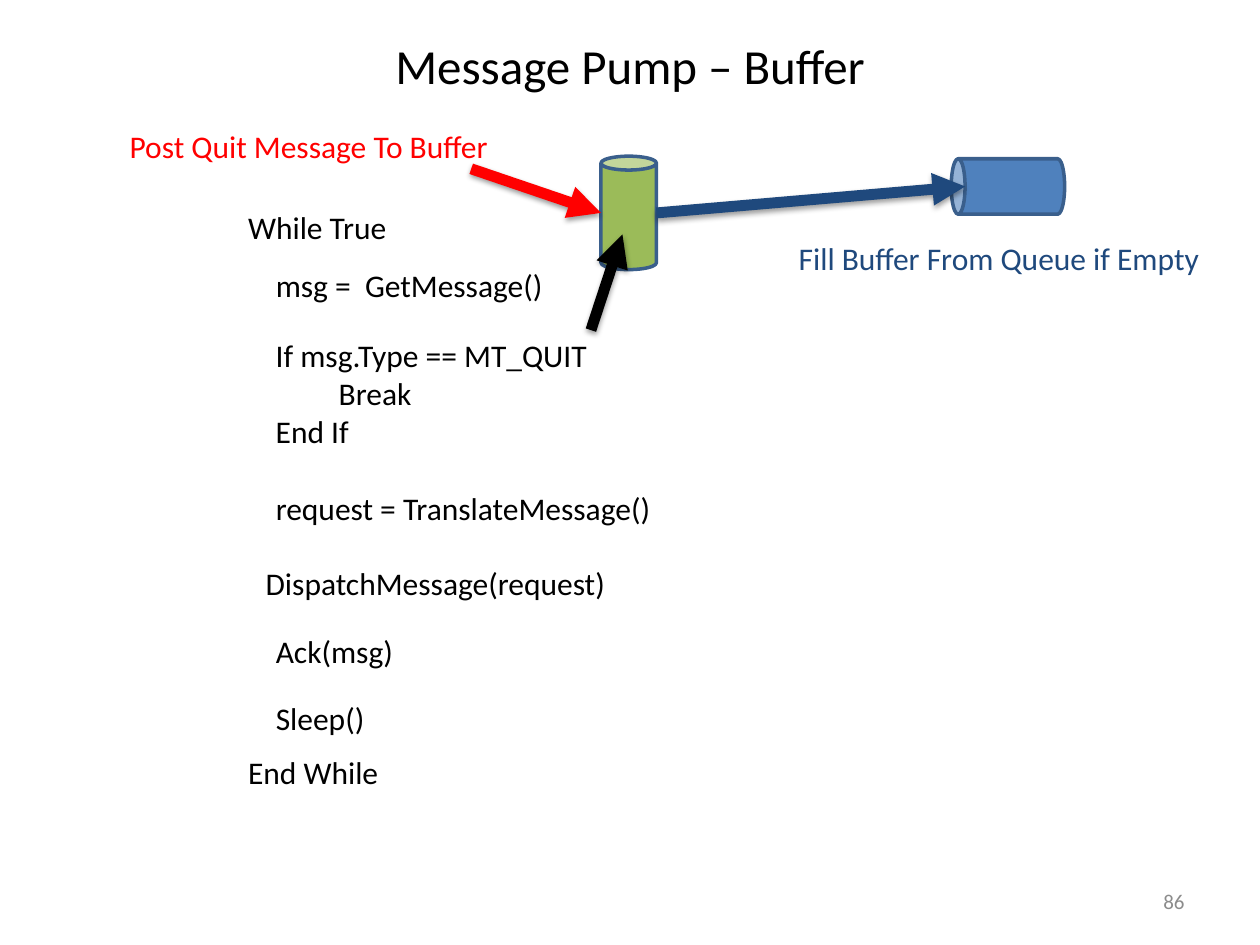
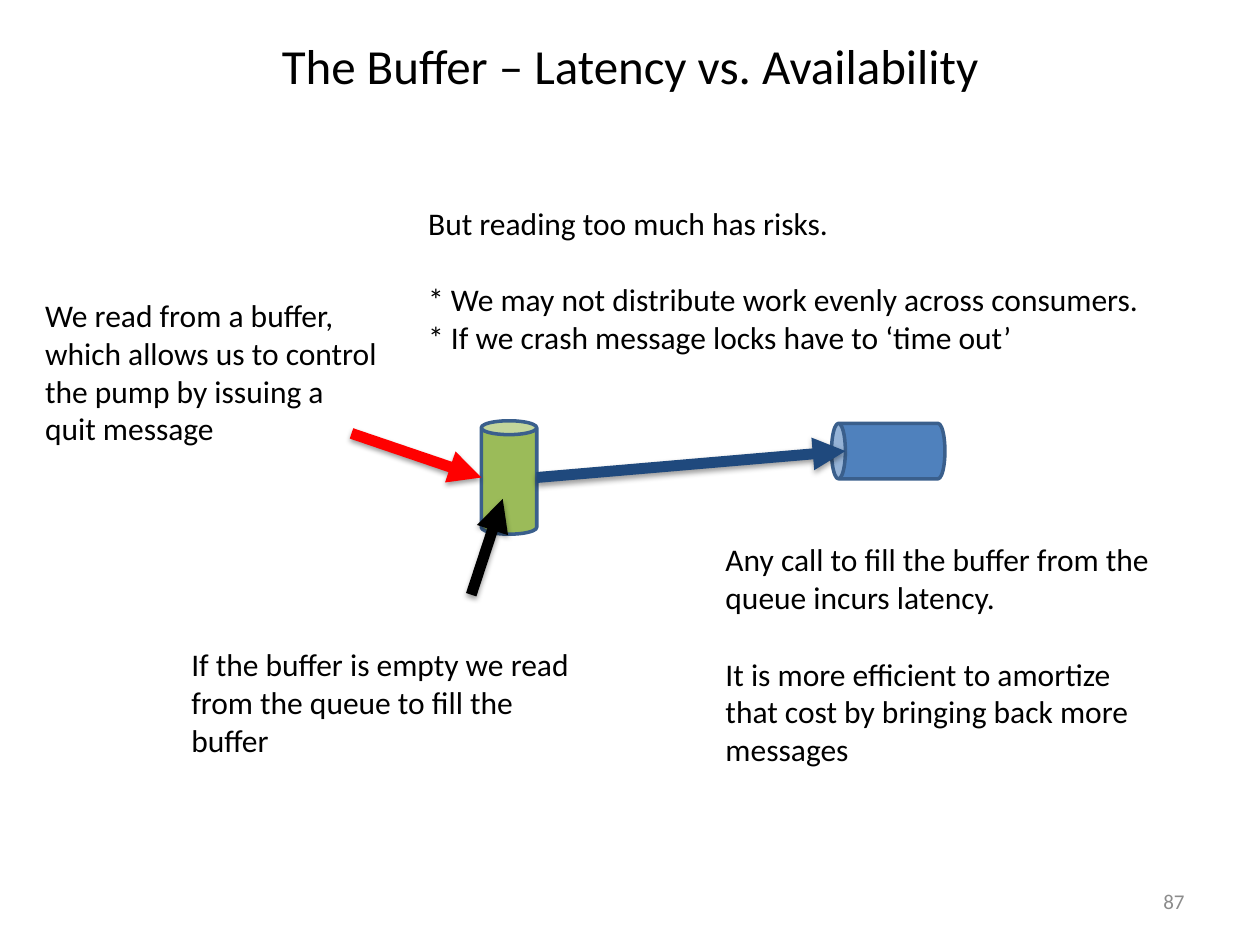
from lxml.etree import SubElement
from pptx import Presentation
from pptx.dml.color import RGBColor
from pptx.enum.shapes import MSO_CONNECTOR, MSO_SHAPE
from pptx.enum.text import MSO_ANCHOR, MSO_AUTO_SIZE, PP_ALIGN
from pptx.oxml.ns import qn
from pptx.util import Inches, Pt

WIDTH, HEIGHT = Inches(10), Inches(7.5)
COLUMN, ROW = WIDTH / 100, HEIGHT / 75
FONT, BODY_SIZE = "Calibri", 18
BLANK_LINE = Pt(22)
BLACK, GREY, RED, NAVY = "000000", "8C8C8C", "FF0000", "1F497D"
GREEN, BLUE, OUTLINE = "9BBB59", "4F81BD", "3A5F8C"

CODE = [
    (18.7, 16, 72.1, ["While True"]),
    (20.9, 20.6, 72.1, ["msg =  GetMessage()"]),
    (20.9, 26.2, 42.6, ["If msg.Type == MT_QUIT", "\tBreak", "End If"]),
    (20.9, 38.3, 38.9, ["request = TranslateMessage()"]),
    (20.1, 44.3, 38.9, ["DispatchMessage(request)"]),
    (20.9, 49.7, 72.1, ["Ack(msg)"]),
    (20.9, 55, 72.1, ["Sleep()"]),
    (18.7, 59.3, 72.1, ["End While"]),
]
REMARKS = [
    (56.6, 42.4, 36, ["Any call to fill the buffer from the queue incurs latency.", "",
                      "It is more efficient to amortize that cost by bringing back more messages"]),
    (2.6, 23, 28.4, ["We read from a buffer, which allows us to control the pump by issuing a quit message"]),
    (14.2, 50.7, 32.7, ["If the buffer is empty we read from the queue to fill the buffer"]),
    (33, 15.7, 62, ["But reading too much has risks.", "",
                    "* We may not distribute work evenly across consumers.",
                    "* If we crash message locks have to ‘time out’"]),
]


def colour(value):
    """Turn a hex string into a colour."""
    return RGBColor.from_string(value)


def grid(*lengths):
    """Turn alternating columns and rows into slide lengths."""
    return [round(length * (ROW if index % 2 else COLUMN)) for index, length in enumerate(lengths)]


def add_words(paragraph, words, size=BODY_SIZE, ink=BLACK):
    """Add one formatted run to a paragraph."""
    run = paragraph.add_run()
    run.text = words
    run.font.name, run.font.size = FONT, Pt(size)
    run.font.color.rgb = colour(ink)


def add_note(slide, left, top, width, lines, ink=BLACK):
    """Write lines in a wrapping box; an empty line becomes space before the next."""
    frame = slide.shapes.add_textbox(*grid(left, top, width, 0.9 + 3.05 * len(lines))).text_frame
    frame.word_wrap = True
    paragraph = frame.paragraphs[0]
    for index, line in enumerate(lines):
        if not line:
            continue
        if index:
            paragraph = frame.add_paragraph()
            if not lines[index - 1]:
                paragraph.space_before = BLANK_LINE
        if line.startswith("\t"):
            stops = SubElement(paragraph._p.get_or_add_pPr(), qn("a:tabLst"))
            SubElement(stops, qn("a:tab"), pos=str(Inches(0.5)), algn="l")
        add_words(paragraph, line, ink=ink)


def add_can(slide, left, top, fill, rotation=0):
    """Draw one message store as a cylinder."""
    can = slide.shapes.add_shape(MSO_SHAPE.CAN, *grid(left, top, 4.4, 9))
    can.rotation = rotation
    can.shadow.inherit = False
    can.fill.solid()
    can.fill.fore_color.rgb = colour(fill)
    can.line.color.rgb = colour(OUTLINE)
    can.line.width = Pt(2)


def add_arrow(slide, start, end, ink):
    """Draw a thick arrow with a soft shadow below it."""
    arrow = slide.shapes.add_connector(MSO_CONNECTOR.STRAIGHT, *grid(*start, *end))
    arrow.line.color.rgb = colour(ink)
    arrow.line.width = Pt(6.25)
    SubElement(arrow.line._get_or_add_ln(), qn("a:tailEnd"), type="triangle")
    effects = SubElement(arrow._element.spPr, qn("a:effectLst"))
    shadow = SubElement(effects, qn("a:outerShdw"), blurRad=str(Pt(3.1)), dist=str(Pt(1.6)),
                        dir="5400000", rotWithShape="0")
    shade = SubElement(shadow, qn("a:srgbClr"), val=BLACK)
    SubElement(shade, qn("a:alpha"), val="38000")


def add_buffer_flow(slide, left, top):
    """Draw the buffer, the queue and the three arrows from a top left corner."""
    def at(column, row):
        """Shift a point into the flow's box."""
        return left + column, top + row

    add_can(slide, *at(10.3, 0), GREEN)
    add_can(slide, *at(40.4, -2.1), BLUE, 270)
    for start, end, ink in (((0, 1), (10.3, 4.5), RED),
                            ((14.7, 4.5), (39.2, 2.4), NAVY),
                            ((9.5, 13.8), (12, 6.2), BLACK)):
        add_arrow(slide, at(*start), at(*end), ink)


def add_titled_slide(deck, heading, number):
    """Start a slide with its title and page number."""
    slide = deck.slides.add_slide(deck.slide_layouts[5])
    title = slide.shapes.title
    title.left, title.top, title.width, title.height = grid(5, 2.3, 90, 5.5)
    title.text_frame.auto_size = MSO_AUTO_SIZE.NONE
    title.text_frame.vertical_anchor = MSO_ANCHOR.TOP
    title.text_frame.paragraphs[0].alignment = PP_ALIGN.CENTER
    add_words(title.text_frame.paragraphs[0], heading, 28)
    footer = slide.shapes.add_textbox(*grid(71.7, 69.5, 23.3, 4)).text_frame
    footer.word_wrap = True
    footer.vertical_anchor = MSO_ANCHOR.MIDDLE
    footer.paragraphs[0].alignment = PP_ALIGN.RIGHT
    add_words(footer.paragraphs[0], str(number), 12, GREY)
    return slide


def build_pump_slide(deck):
    """Show the message pump code beside the buffer."""
    slide = add_titled_slide(deck, "Message Pump – Buffer", 86)
    for step in CODE:
        add_note(slide, *step)
    add_note(slide, 9.3, 9.6, 32.9, ["Post Quit Message To Buffer"], RED)
    add_note(slide, 62.4, 18.5, 34.1, ["Fill Buffer From Queue if Empty"], NAVY)
    add_buffer_flow(slide, 37.4, 12.4)


def build_latency_slide(deck):
    """Show the trade-offs around the buffer."""
    slide = add_titled_slide(deck, "The Buffer – Latency vs. Availability", 87)
    add_buffer_flow(slide, 27.9, 33.4)
    for remark in REMARKS:
        add_note(slide, *remark)


def main():
    """Build and save the deck."""
    deck = Presentation()
    deck.slide_width, deck.slide_height = WIDTH, HEIGHT
    build_pump_slide(deck)
    build_latency_slide(deck)
    deck.save("out.pptx")


if __name__ == "__main__":
    main()
